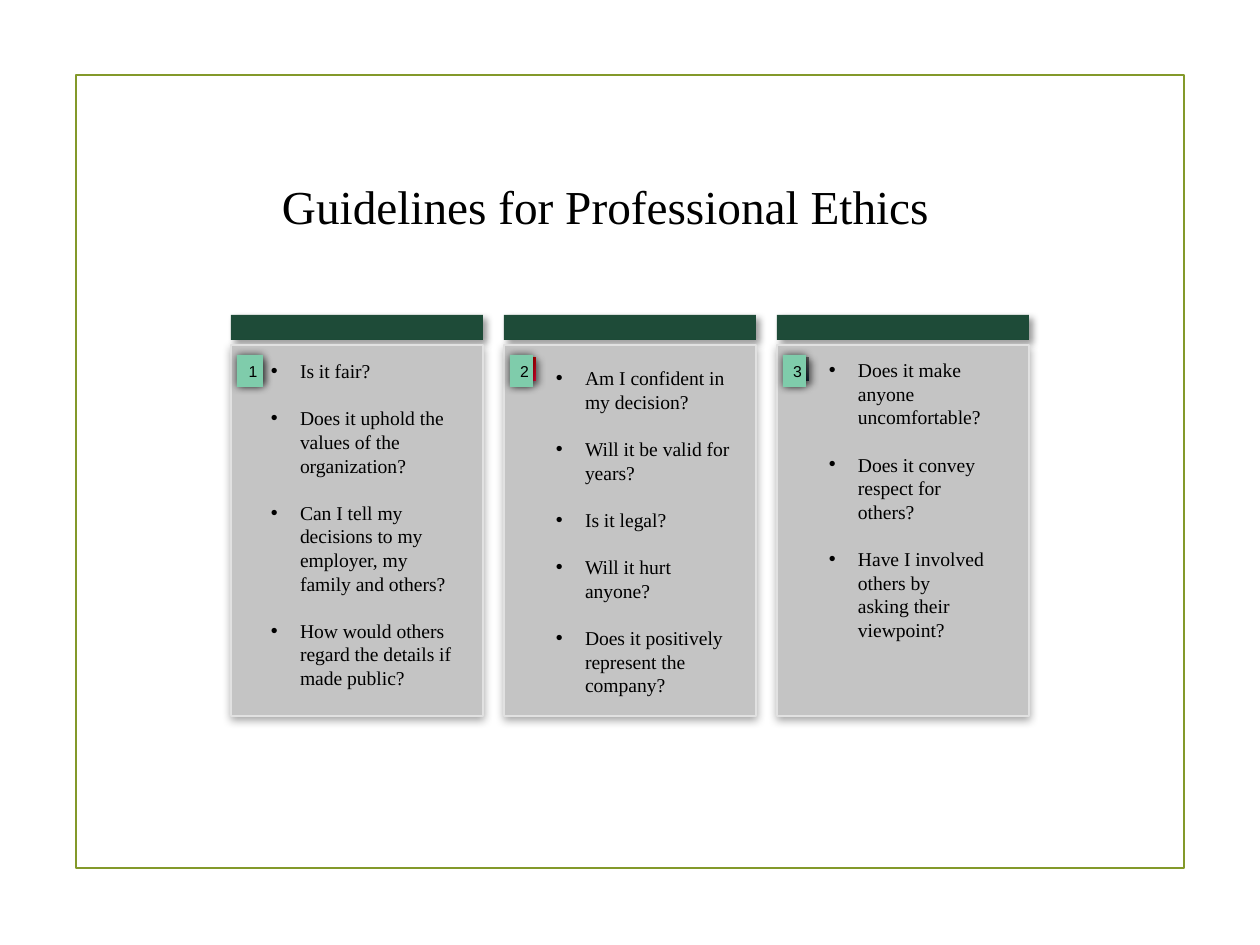
from lxml.etree import SubElement
from pptx import Presentation
from pptx.dml.color import RGBColor
from pptx.enum.shapes import MSO_SHAPE as SHAPE
from pptx.enum.text import MSO_ANCHOR as ANCHOR, PP_ALIGN as ALIGN
from pptx.oxml.ns import qn
from pptx.util import Emu, Pt

SCALE = 914400 / 126
BLACK = RGBColor(0x00, 0x00, 0x00)
OLIVE = RGBColor(0x83, 0x99, 0x2A)
GREEN = RGBColor(0x1E, 0x4B, 0x38)
MINT = RGBColor(0x7F, 0xCC, 0xAB)
GRAY = RGBColor(0xC4, 0xC4, 0xC4)
PALE = RGBColor(0xE1, 0xE1, 0xE1)
RED = RGBColor(0xF5, 0x07, 0x36)
DARK_RED = RGBColor(0xC0, 0x00, 0x00)
STEEL = RGBColor(0x62, 0x62, 0x62)
NAVY = RGBColor(0x12, 0x20, 0x31)

BAR_SHADOW = (40, 4, 3, 45)
PANEL_SHADOW = (35, 5, 1.8, 90)
BADGE_SHADOW = (75, 5, 0, 0)
LINE = 13.5

COLUMNS = [
    {"number": "1", "badge_w": 26, "chip": (BLACK, OLIVE, 90),
     "text_box": (27, 38, 219, 388),
     "questions": ["Is it fair?",
                   "Does it uphold the values of the organization?",
                   "Can I tell my decisions to my\vemployer, my\vfamily and others?",
                   "How would others regard the details if made public?"]},
    {"number": "2", "badge_w": 23, "chip": (RED, DARK_RED, 90),
     "text_box": (39, 45, 208, 372),
     "questions": ["Am I confident in my decision?",
                   "Will it be valid for years?",
                   "Is it legal?",
                   "Will it hurt anyone?",
                   "Does it positively represent the company?"]},
    {"number": "3", "badge_w": 23, "chip": (STEEL, NAVY, 270),
     "text_box": (39, 37, 200, 390),
     "questions": ["Does it make anyone uncomfortable?",
                   "Does it convey respect for\vothers?",
                   "Have I involved others by\vasking their\vviewpoint?"]},
]


def px(n):
    """Turn px into EMU."""
    return Emu(round(n * SCALE))


def add_shadow(sp, alpha, blur, dist, angle):
    """Give a shape a black outer shadow."""
    effects = sp._element.spPr.find(qn("a:effectLst"))
    shadow = SubElement(effects, qn("a:outerShdw"), blurRad=str(Pt(blur)),
                        dist=str(Pt(dist)), dir=str(angle * 60000),
                        algn="ctr", rotWithShape="0")
    color = SubElement(shadow, qn("a:srgbClr"), val=str(BLACK))
    SubElement(color, qn("a:alpha"), val=str(alpha * 1000))


def add_rect(slide, box, fill=None, gradient=None, line=None, weight=0.75, shadow=None):
    """Add a rectangle with a solid, gradient or empty fill."""
    sp = slide.shapes.add_shape(SHAPE.RECTANGLE, *map(px, box))
    sp.shadow.inherit = False
    if gradient:
        *colors, angle = gradient
        sp.fill.gradient()
        sp.fill.gradient_angle = angle
        for stop, color in zip(sp.fill.gradient_stops, colors):
            stop.color.rgb = color
    elif fill is not None:
        sp.fill.solid()
        sp.fill.fore_color.rgb = fill
    else:
        sp.fill.background()
    if line is not None:
        sp.line.color.rgb = line
        sp.line.width = Pt(weight)
    else:
        sp.line.fill.background()
    if shadow:
        add_shadow(sp, *shadow)
    return sp


def add_bullet(p):
    """Give a paragraph a hanging bullet."""
    pPr = p._p.get_or_add_pPr()
    pPr.set("marL", str(px(29)))
    pPr.set("indent", str(-px(29)))
    SubElement(pPr, qn("a:buFont"), typeface="Arial")
    SubElement(pPr, qn("a:buChar"), char="•")


def write(sp, lines, size, font="Times New Roman", align=ALIGN.LEFT, anchor=ANCHOR.TOP,
          margins=(13, 6, 13, 6), wrap=True, bullets=False):
    """Write paragraphs into a shape with one format."""
    tf = sp.text_frame
    tf.word_wrap = wrap
    tf.vertical_anchor = anchor
    tf.margin_left, tf.margin_top, tf.margin_right, tf.margin_bottom = map(px, margins)
    for i, line in enumerate(lines):
        p = tf.add_paragraph() if i else tf.paragraphs[0]
        p.text = line
        p.alignment = align
        if bullets:
            p.line_spacing = Pt(LINE)
            p.space_before = Pt(LINE if i else 0)
            add_bullet(p)
        for r in p.runs:
            r.font.size = Pt(size)
            r.font.name = font
            r.font.color.rgb = BLACK


def add_title(slide, box, text):
    """Add the centred slide title."""
    sp = slide.shapes.add_textbox(*map(px, box))
    write(sp, [text], 27, align=ALIGN.CENTER, anchor=ANCHOR.MIDDLE, margins=(0, 6, 0, 6))


def add_column(slide, box, number, badge_w, chip, text_box, questions):
    """Add a bar, a panel, a numbered badge and a list of questions."""
    x, y, w, h = box
    add_rect(slide, (x, y, w, 25), fill=GREEN, shadow=BAR_SHADOW)
    add_rect(slide, (x, y + 30, w, h - 30), fill=GRAY, line=PALE, shadow=PANEL_SHADOW)
    add_rect(slide, (x + 8, y + 42, 24, 24), gradient=chip, shadow=BAR_SHADOW)
    badge = add_rect(slide, (x + 6, y + 40, badge_w, 32), fill=MINT, shadow=BADGE_SHADOW)
    write(badge, [number], 9, font="Arial", align=ALIGN.CENTER, anchor=ANCHOR.MIDDLE,
          margins=(6, 0, 0, 0), wrap=False)
    left, top, width, height = text_box
    sp = slide.shapes.add_textbox(*map(px, (x + left, y + top, width, height)))
    write(sp, questions, 11.2, bullets=True)


def main():
    """Build and save the slide."""
    prs = Presentation()
    prs.slide_width, prs.slide_height = px(1260), px(945)
    slide = prs.slides.add_slide(prs.slide_layouts[6])
    add_rect(slide, (76, 75, 1108, 793), line=OLIVE, weight=1.25)
    add_title(slide, (120, 175, 971, 62), "Guidelines for Professional Ethics")
    for i, column in enumerate(COLUMNS):
        add_column(slide, (231 + 273 * i, 315, 252, 401), **column)
    prs.save("out.pptx")


if __name__ == "__main__":
    main()
